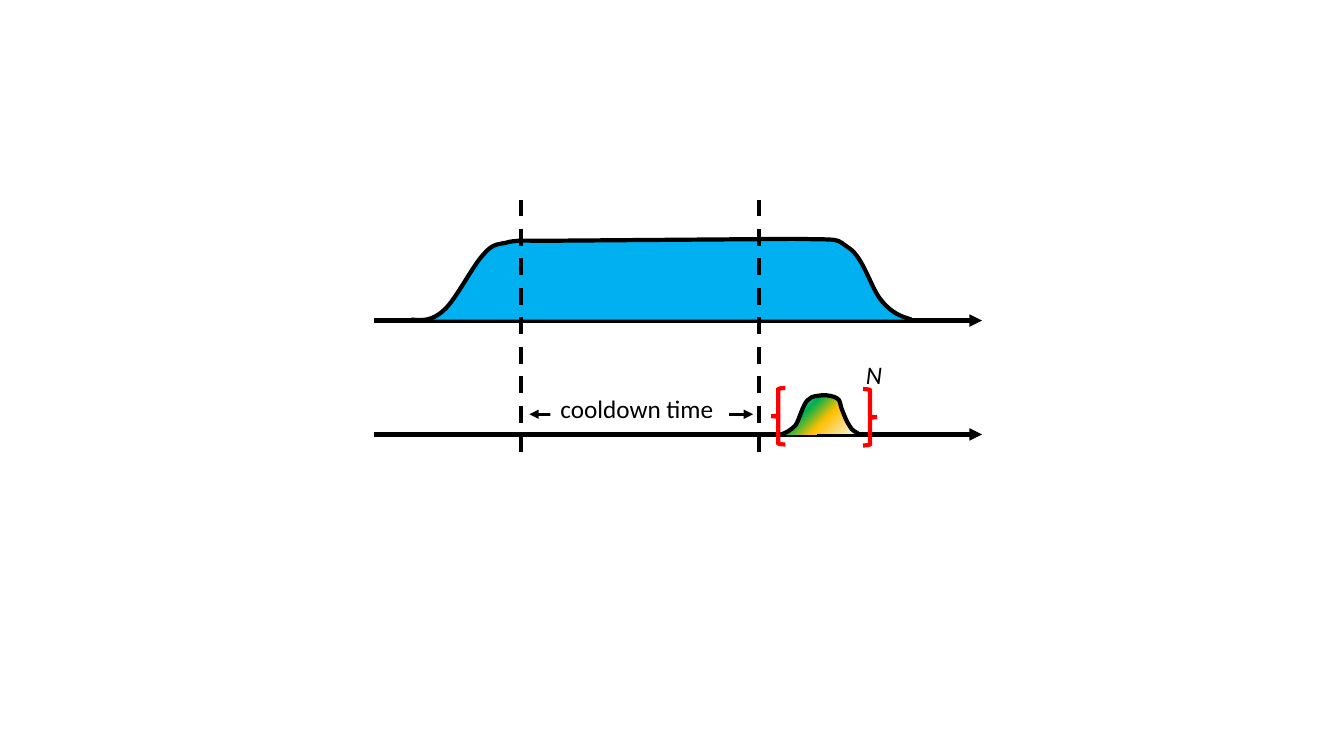
from dataclasses import dataclass

from lxml import etree
from pptx import Presentation
from pptx.dml.color import RGBColor
from pptx.enum.dml import MSO_LINE
from pptx.enum.shapes import MSO_CONNECTOR, MSO_SHAPE
from pptx.enum.text import MSO_AUTO_SIZE, PP_ALIGN
from pptx.oxml.ns import qn
from pptx.util import Inches, Pt

STRAIGHT = MSO_CONNECTOR.STRAIGHT
RECTANGLE = MSO_SHAPE.RECTANGLE
LEFT_BRACE = MSO_SHAPE.LEFT_BRACE
RIGHT_BRACE = MSO_SHAPE.RIGHT_BRACE
DASH = MSO_LINE.DASH
FIT_SHAPE = MSO_AUTO_SIZE.SHAPE_TO_FIT_TEXT
LEFT = PP_ALIGN.LEFT


@dataclass(frozen=True)
class Theme:
    font: str = "Calibri"
    text_size: float = 18
    heavy: float = 3
    medium: float = 2.25
    black: str = "000000"
    white: str = "FFFFFF"
    blue: str = "00B0F0"
    red: str = "FF0000"
    gradient: tuple = ((0, "F6F8FC"), (42, "FFC000"), (65, "00B050"), (100, "C7D5ED"))
    gradient_angle: float = 135


THEME = Theme()

# Each pulse: a start point, then segments of one point (line) or three (cubic curve)
LONG_PULSE = (4.08, 3.17), [
    [(4.18, 3.18), (4.28, 3.19), (4.4, 3.08)],
    [(4.52, 2.98), (4.69, 2.63), (4.8, 2.52)],
    [(4.9, 2.4), (4.96, 2.43), (5.05, 2.4)],
    [(5.14, 2.38), (5.32, 2.39), (5.32, 2.39)],
    [(7.86, 2.37)],
    [(8.38, 2.38), (8.27, 2.36), (8.42, 2.46)],
    [(8.57, 2.56), (8.64, 2.87), (8.75, 2.99)],
    [(8.85, 3.11), (8.94, 3.14), (9.04, 3.17)],
]
SHORT_PULSE = (7.75, 4.31), [
    [(7.8, 4.29), (7.84, 4.27), (7.89, 4.22)],
    [(7.93, 4.16), (7.96, 4.02), (8.01, 3.97)],
    [(8.06, 3.92), (8.11, 3.93), (8.16, 3.92)],
    [(8.21, 3.92), (8.27, 3.93), (8.3, 3.95)],
    [(8.34, 3.97), (8.33, 4.01), (8.35, 4.06)],
    [(8.37, 4.11), (8.4, 4.19), (8.43, 4.23)],
    [(8.45, 4.27), (8.48, 4.28), (8.51, 4.3)],
]


def color(value):
    return RGBColor.from_string(value)


def lengths(values):
    return [Inches(value) for value in values]


def style_line(line, value, width):
    line.color.rgb = color(value)
    line.width = Pt(width)
    etree.SubElement(line._get_or_add_ln(), qn("a:miter"), lim="800000")


def add_line(slide, start, end, width=THEME.heavy, dash=None, arrows=()):
    """Draw a straight line; arrows names the ends (headEnd, tailEnd) with a triangle."""
    connector = slide.shapes.add_connector(STRAIGHT, *lengths((*start, *end)))
    style_line(connector.line, THEME.black, width)
    if dash:
        connector.line.dash_style = dash
    line_element = connector.line._get_or_add_ln()
    for arrow in arrows:
        etree.SubElement(line_element, qn(f"a:{arrow}"), type="triangle")
    etree.SubElement(connector._element.spPr, qn("a:effectLst"))


def bend_segments(shape, segments):
    """Turn the straight segments that have control points into cubic curves."""
    straight_segments = list(shape._element.spPr.iter(qn("a:lnTo")))
    for straight, segment in zip(straight_segments, segments):
        if len(segment) == 3:
            curve = etree.Element(qn("a:cubicBezTo"))
            for point in segment:
                x, y = lengths(point)
                etree.SubElement(
                    curve, qn("a:pt"), x=str(x - shape.left), y=str(y - shape.top)
                )
            straight.getparent().replace(straight, curve)


def add_pulse(slide, start, segments):
    builder = slide.shapes.build_freeform(*lengths(start))
    builder.add_line_segments([lengths(segment[-1]) for segment in segments], close=False)
    shape = builder.convert_to_shape()
    bend_segments(shape, segments)
    shape.shadow.inherit = False
    style_line(shape.line, THEME.black, THEME.heavy)
    return shape


def fill_gradient(shape):
    shape.fill.gradient()
    shape.fill.gradient_angle = THEME.gradient_angle
    stops = shape._element.spPr.find(qn("a:gradFill")).find(qn("a:gsLst"))
    for stop in list(stops):
        stops.remove(stop)
    for position, value in THEME.gradient:
        stop = etree.SubElement(stops, qn("a:gs"), pos=str(position * 1000))
        etree.SubElement(stop, qn("a:srgbClr"), val=value)


def add_brace(slide, kind, left, top):
    brace = slide.shapes.add_shape(kind, *lengths((left, top, 0.14, 0.56)))
    brace.shadow.inherit = False
    brace.fill.background()
    style_line(brace.line, THEME.red, THEME.heavy)


def write_label(shape, text, italic=None):
    frame = shape.text_frame
    frame.text = text
    frame.word_wrap = False
    frame.auto_size = FIT_SHAPE
    paragraph = frame.paragraphs[0]
    paragraph.alignment = LEFT
    font = paragraph.runs[0].font
    font.name = THEME.font
    font.size = Pt(THEME.text_size)
    font.color.rgb = color(THEME.black)
    font.italic = italic


def add_masked_label(slide, box, text):
    """Add a label whose white background hides the line behind it."""
    shape = slide.shapes.add_shape(RECTANGLE, *lengths(box))
    shape.shadow.inherit = False
    shape.fill.solid()
    shape.fill.fore_color.rgb = color(THEME.white)
    shape.line.fill.background()
    write_label(shape, text)


def main():
    presentation = Presentation()
    presentation.slide_width = Inches(13.33)
    presentation.slide_height = Inches(7.5)
    slide = presentation.slides.add_slide(presentation.slide_layouts[6])

    # Upper time axis with the long pulse
    add_line(slide, (3.71, 3.18), (9.74, 3.18), arrows=["tailEnd"])
    long_pulse = add_pulse(slide, *LONG_PULSE)
    long_pulse.fill.solid()
    long_pulse.fill.fore_color.rgb = color(THEME.blue)

    # Lower time axis with the short pulse
    add_line(slide, (3.71, 4.31), (9.74, 4.31), arrows=["tailEnd"])
    fill_gradient(add_pulse(slide, *SHORT_PULSE))

    # Limits of the cooldown time
    for x in (7.53, 5.17):
        add_line(slide, (x, 1.98), (x, 4.51), dash=DASH)
    add_line(slide, (5.25, 4.11), (7.47, 4.11), THEME.medium, arrows=["headEnd", "tailEnd"])
    add_masked_label(slide, (5.46, 3.85, 1.77, 0.4), "cooldown time")

    # Braces for the N repetitions
    add_brace(slide, LEFT_BRACE, 7.65, 3.85)
    add_brace(slide, RIGHT_BRACE, 8.56, 3.86)
    count_label = slide.shapes.add_textbox(*lengths((8.49, 3.52, 0.36, 0.4)))
    write_label(count_label, "N", italic=True)

    presentation.save("out.pptx")


if __name__ == "__main__":
    main()
